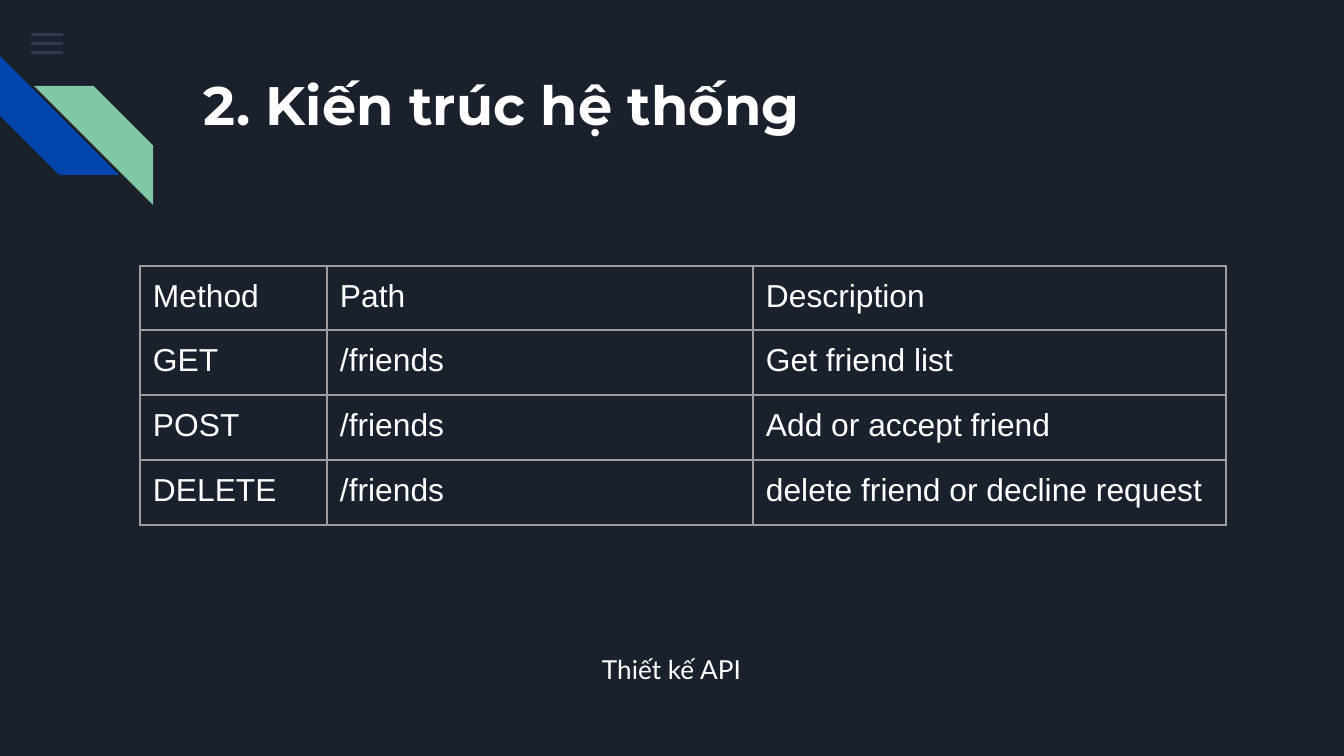
import lxml.etree
import pptx
import pptx.dml.color
import pptx.enum.shapes
import pptx.enum.text
import pptx.oxml.ns
import pptx.util

PX = 914400 / 134.4
COLORS = {
    "background": "1B212C",
    "menu": "55688B",
    "blue": "0145AC",
    "green": "82C7A5",
    "text": "FFFFFF",
    "border": "9E9E9E",
}
qn = pptx.oxml.ns.qn


def px(*lengths):
    return [pptx.util.Emu(round(length * PX)) for length in lengths]


def write_text(text_frame, text, font_name, size, bold=False):
    text_frame.text = text
    font = text_frame.paragraphs[0].runs[0].font
    font.name = font_name
    font.size = pptx.util.Pt(size)
    font.bold = bold
    font.color.rgb = pptx.dml.color.RGBColor.from_string(COLORS["text"])


presentation = pptx.Presentation()
presentation.slide_width, presentation.slide_height = px(1344, 756)
slide = presentation.slides.add_slide(presentation.slide_layouts[6])
slide.background.fill.solid()
slide.background.fill.fore_color.rgb = pptx.dml.color.RGBColor.from_string(COLORS["background"])

RECTANGLE = pptx.enum.shapes.MSO_SHAPE.RECTANGLE
STRIPE = pptx.enum.shapes.MSO_SHAPE.DIAGONAL_STRIPE
decorations = [(RECTANGLE, 31, 33 + 9 * i, 32, 3, 0, "menu") for i in range(3)]
decorations += [
    (STRIPE, 0, 56, 119, 119, 270, "blue"),
    (STRIPE, 34, 86, 119, 119, 90, "green"),
]
for preset, left, top, width, height, rotation, color in decorations:
    shape = slide.shapes.add_shape(preset, *px(left, top, width, height))
    shape.shadow.inherit = False
    shape.rotation = rotation
    shape.line.fill.background()
    shape.fill.solid()
    shape.fill.fore_color.rgb = pptx.dml.color.RGBColor.from_string(COLORS[color])
    if color == "menu":
        srgb = shape.fill._xPr.find(".//" + qn("a:srgbClr"))
        lxml.etree.SubElement(srgb, qn("a:alpha"), val="36000")

texts = [
    ("2. Kiến trúc hệ thống", 191, 58, 1035, 134, "Montserrat", 29, True, "LEFT"),
    ("Thiết kế API", 423, 640, 497, 63, "Lato", 14, False, "CENTER"),
]
for text, left, top, width, height, font_name, size, bold, alignment in texts:
    text_box = slide.shapes.add_textbox(*px(left, top, width, height))
    text_frame = text_box.text_frame
    text_frame.word_wrap = True
    text_frame.margin_left, text_frame.margin_top = px(13, 13)
    text_frame.margin_right, text_frame.margin_bottom = px(13, 13)
    write_text(text_frame, text, font_name, size, bold)
    text_frame.paragraphs[0].alignment = pptx.enum.text.PP_ALIGN[alignment]

endpoints = [
    ("Method", "Path", "Description"),
    ("GET", "/friends", "Get friend list"),
    ("POST", "/friends", "Add or accept friend"),
    ("DELETE", "/friends", "delete friend or decline request"),
]
column_widths = [187, 426, 473]
row_heights = [62, 65, 65, 65]
table = slide.shapes.add_table(
    len(endpoints), len(column_widths), *px(140, 266, sum(column_widths), sum(row_heights))
).table
table.first_row = False
table.horz_banding = False
for column, width in zip(table.columns, px(*column_widths)):
    column.width = width
for row, height, values in zip(table.rows, px(*row_heights), endpoints):
    row.height = height
    for cell, value in zip(row.cells, values):
        cell.margin_left, cell.margin_top, cell.margin_right, cell.margin_bottom = px(13, 13, 13, 13)
        write_text(cell.text_frame, value, "Arial", 17)
        properties = cell._tc.get_or_add_tcPr()
        for side in ("a:lnL", "a:lnR", "a:lnT", "a:lnB"):
            border = lxml.etree.SubElement(properties, qn(side), w=str(pptx.util.Pt(0.75)))
            solid = lxml.etree.SubElement(border, qn("a:solidFill"))
            lxml.etree.SubElement(solid, qn("a:srgbClr"), val=COLORS["border"])
        cell.fill.background()

presentation.save("out.pptx")
